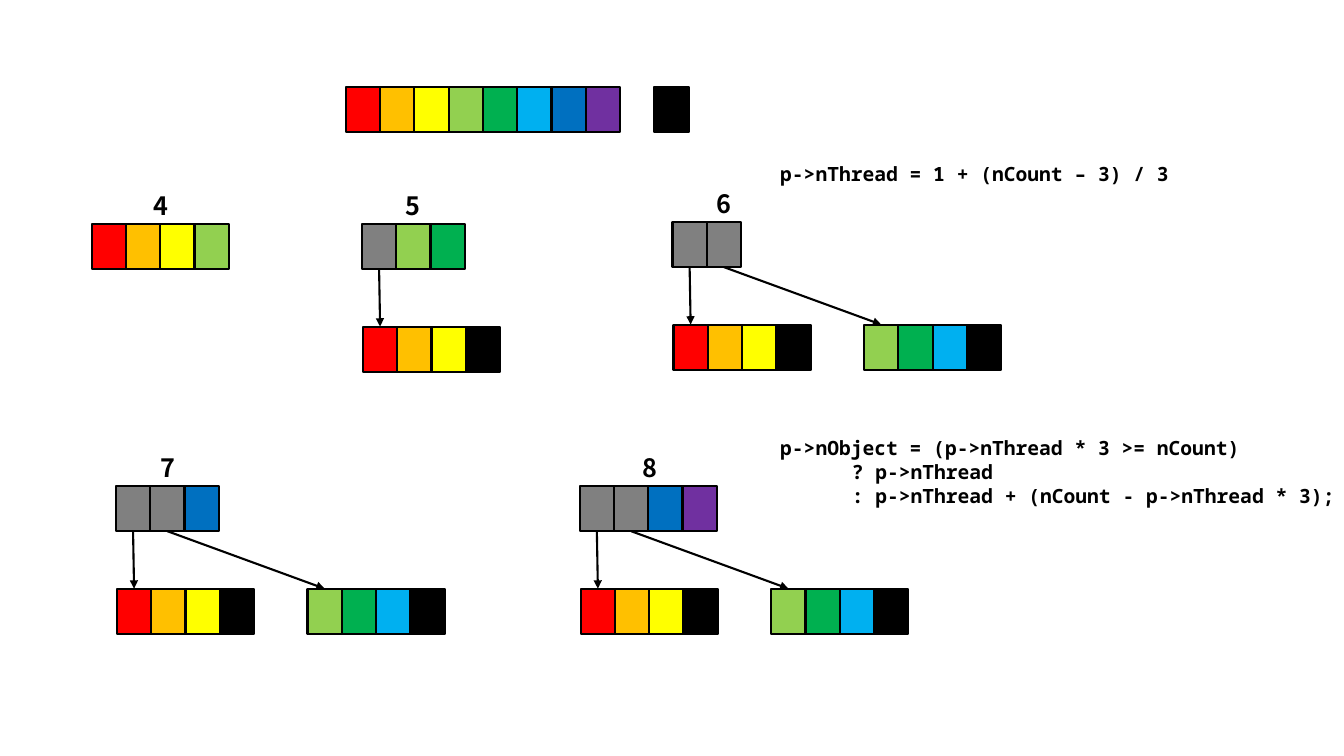
import pptx
import pptx.util
import pptx.dml.color
import pptx.enum.shapes
import pptx.enum.text
import pptx.oxml.ns
import lxml.etree

PX = 9144
CELL_W, CELL_H = 34, 45
KID_DX, KID_DY, KID_GAP = 1, 102, 189
TAG_DY, TAG_H = 38, 40
INDENT = 71

BLACK, GREY = "000000", "808080"
RED, AMBER, YELLOW, LIME = "FF0000", "FFC000", "FFFF00", "92D050"
GREEN, SKY, BLUE, PURPLE = "00B050", "00B0F0", "0070C0", "7030A0"
HUES = [RED, AMBER, YELLOW, LIME, GREEN, SKY, BLUE, PURPLE]
KIDS = [HUES[:3] + [BLACK], HUES[3:6] + [BLACK]]

TREES = [
    ("4", 91, 222, HUES[:4], 51),
    ("5", 359, 222, [GREY, LIME, GREEN], 33),
    ("6", 667, 220, [GREY, GREY], 34),
    ("7", 115, 482, [GREY, GREY, BLUE], 34),
    ("8", 575, 482, [GREY, GREY, BLUE, PURPLE], 52),
]

CODES = [
    ((764, 156, 420, 34), [("p->nThread = 1 + (nCount – 3) / 3", 0)]),
    ((764, 428, 577, 81), [
        ("p->nObject = (p->nThread * 3 >= nCount)", 0),
        ("? p->nThread", INDENT),
        (": p->nThread + (nCount - p->nThread * 3);", INDENT),
    ]),
]


def px(n):
    return pptx.util.Emu(n * PX)


def color(code):
    return pptx.dml.color.RGBColor.from_string(code)


def text(slide, box, lines, font, size, wrap):
    frame = slide.shapes.add_textbox(*map(px, box)).text_frame
    frame.word_wrap = wrap
    frame.auto_size = pptx.enum.text.MSO_AUTO_SIZE.SHAPE_TO_FIT_TEXT
    frame.text = "\n".join(line for line, dent in lines)
    for par, (line, dent) in zip(frame.paragraphs, lines):
        if dent:
            par._p.get_or_add_pPr().set("marL", str(px(dent)))
        style = par.runs[0].font
        style.name = font
        style.size = pptx.util.Pt(size)
        style.bold = True
        style.color.rgb = color(BLACK)


def cell(slide, x, y, fill):
    kind = pptx.enum.shapes.MSO_SHAPE.RECTANGLE
    shape = slide.shapes.add_shape(kind, *map(px, (x, y, CELL_W, CELL_H)))
    shape.shadow.inherit = False
    shape.fill.solid()
    shape.fill.fore_color.rgb = color(fill)
    shape.line.color.rgb = color(BLACK)
    shape.line.width = pptx.util.Pt(1.5)
    return shape


def row(slide, x, y, fills):
    return [cell(slide, x + i * CELL_W, y, fill) for i, fill in enumerate(fills)]


def arrow(slide, top, kid):
    kind = pptx.enum.shapes.MSO_CONNECTOR.STRAIGHT
    link = slide.shapes.add_connector(kind, 0, 0, 0, 0)
    link.begin_connect(top, 2)
    link.end_connect(kid, 0)
    link.line.color.rgb = color(BLACK)
    link.line.width = pptx.util.Pt(1.5)
    qn = pptx.oxml.ns.qn
    lxml.etree.SubElement(link.line._get_or_add_ln(), qn("a:tailEnd"), type="triangle")
    lxml.etree.SubElement(link._element.spPr, qn("a:effectLst"))


def legend(slide, x, y):
    row(slide, x, y, HUES)
    cell(slide, x + (len(HUES) + 1) * CELL_W, y, BLACK)


def tree(slide, name, x, y, fills, shift):
    tag = (x + shift, y - TAG_DY, CELL_W, TAG_H)
    text(slide, tag, [(name, 0)], "Noto Sans CJK SC", 18, False)
    tops = row(slide, x, y, fills)
    for i, kid in enumerate(KIDS[:fills.count(GREY)]):
        cells = row(slide, x + KID_DX + i * KID_GAP, y + KID_DY, kid)
        arrow(slide, tops[i], cells[0])


def main():
    deck = pptx.Presentation()
    deck.slide_width, deck.slide_height = px(1333), px(750)
    slide = deck.slides.add_slide(deck.slide_layouts[6])
    legend(slide, 343, 86)
    for item in TREES:
        tree(slide, *item)
    for box, lines in CODES:
        text(slide, box, lines, "Noto Sans Mono", 14, True)
    deck.save("out.pptx")


if __name__ == "__main__":
    main()
